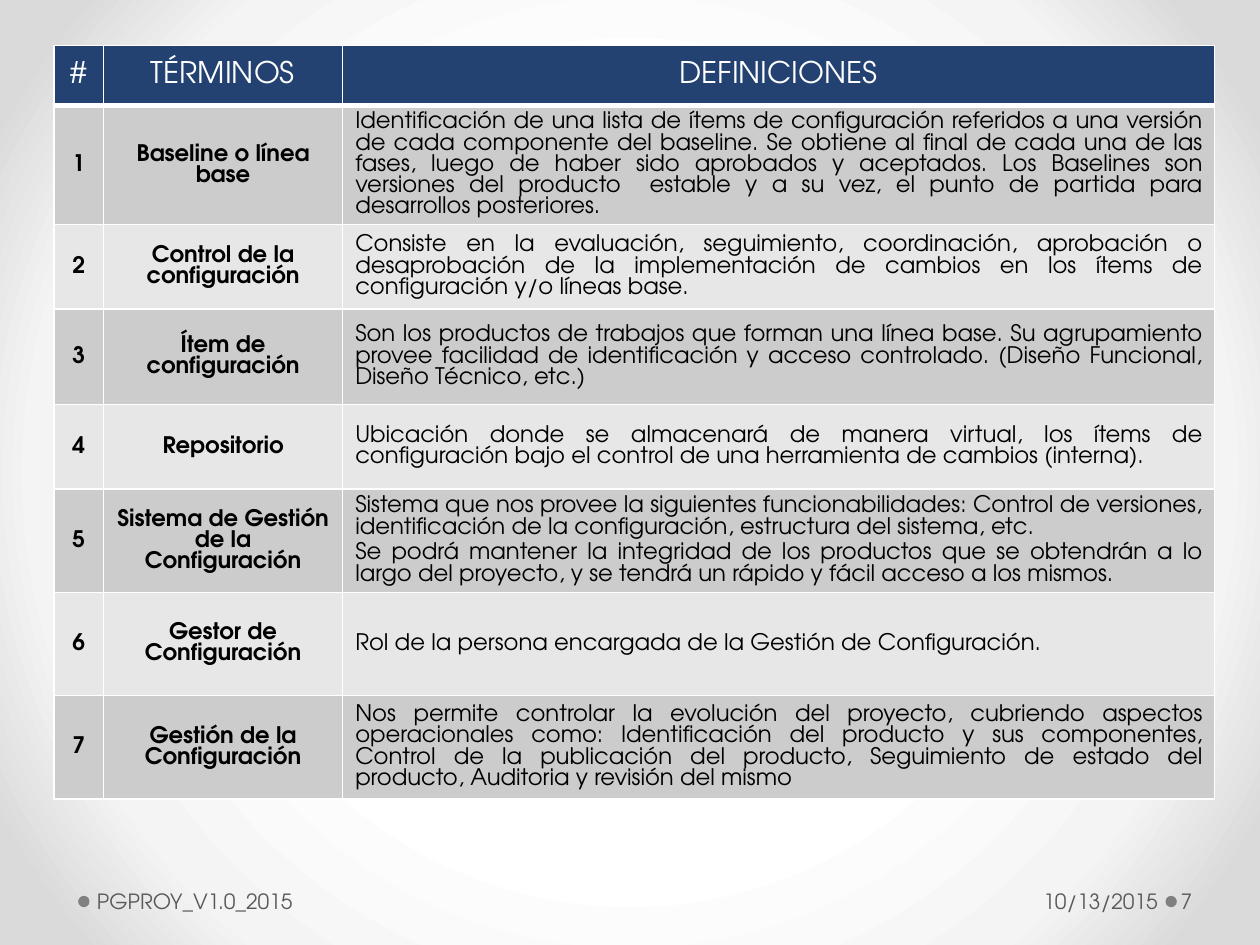
from pptx import Presentation
from pptx.dml.color import RGBColor
from pptx.enum.shapes import MSO_SHAPE
from pptx.enum.text import MSO_ANCHOR, PP_ALIGN
from pptx.oxml import parse_xml
from pptx.oxml.ns import nsdecls
from pptx.util import Inches, Pt

THEME = {
    "font": "TeX Gyre Adventor",
    "header_size": 17, "body_size": 13, "footer_size": 12,
    "header_fill": "234271", "bands": ("CCCCCC", "E7E7E7"),
    "white": "FFFFFF", "black": "000000",
    "footer_text": "595959", "dot": "808080",
    "backdrop": ((50, "FFFFFF"), (76, "F4F4F4"), (92, "DADADA")),
}

HEADINGS = ("#", "TÉRMINOS", "DEFINICIONES")
# Row height, term, paragraphs of the definition
TERMS = [
    (0.82, "Baseline o línea base", [
        "Identificación de una lista de ítems de configuración referidos a una versión de cada "
        "componente del baseline. Se obtiene al final de cada una de las fases, luego de haber "
        "sido aprobados y aceptados. Los Baselines son versiones del producto  estable y a su "
        "vez, el punto de partida para desarrollos posteriores."]),
    (0.67, "Control de la configuración", [
        "Consiste en la evaluación, seguimiento, coordinación, aprobación o desaprobación de la "
        "implementación de cambios en los ítems de configuración y/o líneas base."]),
    (0.76, "Ítem de configuración", [
        "Son los productos de trabajos que forman una línea base. Su agrupamiento provee "
        "facilidad de identificación y acceso controlado. (Diseño Funcional, Diseño Técnico, "
        "etc.)"]),
    (0.67, "Repositorio", [
        "Ubicación donde se almacenará de manera virtual, los ítems de configuración bajo el "
        "control de una herramienta de cambios (interna)."]),
    (0.82, "Sistema de Gestión de la Configuración", [
        "Sistema que nos provee la siguientes funcionabilidades: Control de versiones, "
        "identificación de la configuración, estructura del sistema, etc.",
        "Se podrá mantener la integridad de los productos que se obtendrán a lo largo del "
        "proyecto, y se tendrá un rápido y fácil acceso a los mismos."]),
    (0.82, "Gestor de Configuración", [
        "Rol de la persona encargada de la Gestión de Configuración."]),
    (0.82, "Gestión de la Configuración", [
        "Nos permite controlar la evolución del proyecto, cubriendo aspectos operacionales como: "
        "Identificación del producto y sus componentes, Control de la publicación del producto, "
        "Seguimiento de estado del producto, Auditoria y revisión del mismo"]),
]


def write(frame, paragraphs, size, color, align, bold=False):
    for index, text in enumerate(paragraphs):
        para = frame.add_paragraph() if index else frame.paragraphs[0]
        para.alignment = align
        if index:
            para.space_before = Pt(size * 0.2)
        span = para.add_run()
        span.text = text
        span.font.color.rgb = RGBColor.from_string(color)
        formats = {"name": THEME["font"], "size": Pt(size), "bold": bold}
        for name, value in formats.items():
            setattr(span.font, name, value)


def paint_cell(cell, color, bottom_width=1):
    cell.vertical_anchor = MSO_ANCHOR.MIDDLE
    cell.fill.solid()
    cell.fill.fore_color.rgb = RGBColor.from_string(color)
    properties = cell._tc.get_or_add_tcPr()
    widths = {"lnL": 1, "lnR": 1, "lnT": 1, "lnB": bottom_width}
    for position, (side, width) in enumerate(widths.items()):
        properties.insert(position, parse_xml(
            f'<a:{side} {nsdecls("a")} w="{Pt(width)}"><a:solidFill>'
            f'<a:srgbClr val="{THEME["white"]}"/></a:solidFill></a:{side}>'))


deck = Presentation()
deck.slide_width, deck.slide_height = Inches(10), Inches(7.5)
page = deck.slides.add_slide(deck.slide_layouts[6])

# Radial backdrop
page.background.fill.gradient()
gradient = page.element.xpath(".//p:bgPr/a:gradFill")[0]
stops = "".join(f'<a:gs pos="{place * 1000}"><a:srgbClr val="{color}"/></a:gs>'
                for place, color in THEME["backdrop"])
gradient.getparent().replace(gradient, parse_xml(
    f'<a:gradFill {nsdecls("a")} rotWithShape="1"><a:gsLst>{stops}</a:gsLst>'
    '<a:path path="circle"><a:fillToRect l="50000" t="50000" r="50000" b="50000"/>'
    '</a:path></a:gradFill>'))

# Footer dots
for left in (9.25, 0.62):
    dot = page.shapes.add_shape(MSO_SHAPE.OVAL, Inches(left), Inches(7.11),
                                Inches(0.09), Inches(0.09))
    dot.shadow.inherit = False
    dot.fill.solid()
    dot.fill.fore_color.rgb = RGBColor.from_string(THEME["dot"])
    dot.line.fill.background()

# Glossary table
heights = [0.48] + [height for height, _, _ in TERMS]
widths = (0.39, 1.9, 6.92)
table = page.shapes.add_table(len(heights), len(widths), Inches(0.43), Inches(0.36),
                              Inches(sum(widths)), Inches(sum(heights))).table
for column, width in zip(table.columns, widths):
    column.width = Inches(width)
for row, height in zip(table.rows, heights):
    row.height = Inches(height)

for cell, heading in zip(table.rows[0].cells, HEADINGS):
    paint_cell(cell, THEME["header_fill"], bottom_width=3)
    write(cell.text_frame, [heading], THEME["header_size"], THEME["white"], PP_ALIGN.CENTER)

for number, (_, term, definition) in enumerate(TERMS, start=1):
    contents = (
        ([str(number)], PP_ALIGN.CENTER, True),
        ([term], PP_ALIGN.CENTER, True),
        (definition, PP_ALIGN.JUSTIFY, False),
    )
    for cell, (paragraphs, align, bold) in zip(table.rows[number].cells, contents):
        paint_cell(cell, THEME["bands"][(number - 1) % 2])
        write(cell.text_frame, paragraphs, THEME["body_size"], THEME["black"], align, bold)

# Footer: left, width, side margins, alignment
for text, left, width, margin_left, margin_right, align in (
    ("PGPROY_V1.0_2015", 0.72, 3.96, 0.05, 0.1, PP_ALIGN.LEFT),
    ("10/13/2015", 6.96, 2.28, 0.1, 0.05, PP_ALIGN.RIGHT),
    ("7", 9.34, 0.61, 0.03, 0.05, PP_ALIGN.LEFT),
):
    box = page.shapes.add_textbox(Inches(left), Inches(6.95), Inches(width), Inches(0.4))
    formats = {"word_wrap": True, "vertical_anchor": MSO_ANCHOR.MIDDLE,
               "margin_left": Inches(margin_left), "margin_right": Inches(margin_right)}
    for name, value in formats.items():
        setattr(box.text_frame, name, value)
    write(box.text_frame, [text], THEME["footer_size"], THEME["footer_text"], align)

deck.save("out.pptx")
